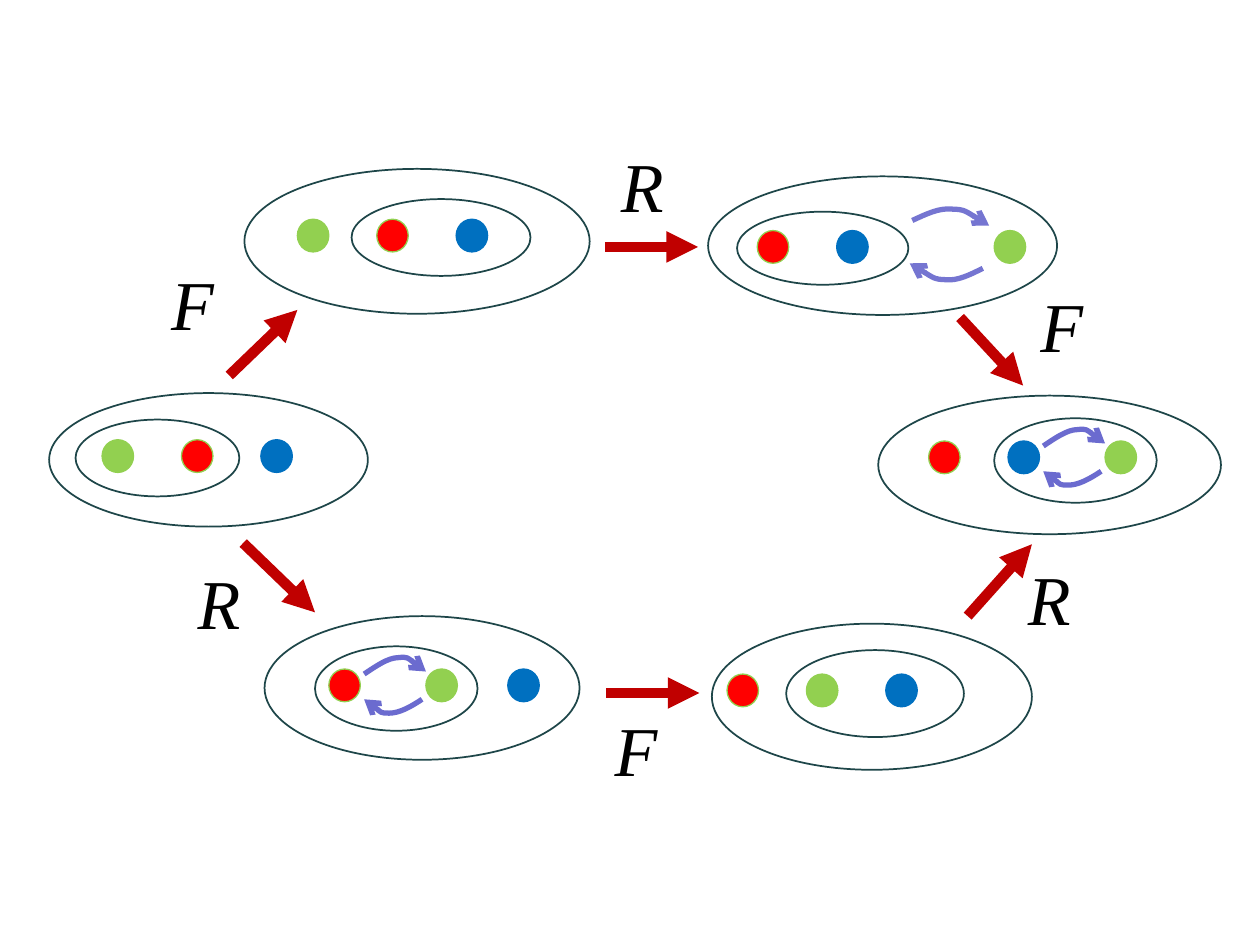
from dataclasses import dataclass

from lxml.etree import SubElement
from pptx import Presentation
from pptx.dml.color import RGBColor
from pptx.enum.shapes import MSO_CONNECTOR, MSO_SHAPE
from pptx.enum.text import MSO_AUTO_SIZE
from pptx.oxml.ns import qn
from pptx.util import Inches, Pt

RED, GREEN, BLUE = "FF0000", "92D050", "0070C0"
DOT_OUTLINE = {RED: GREEN, GREEN: GREEN, BLUE: BLUE}
RING, MOVE, INK = "1E4649", "C00000", "000000"
DOT_WIDTH, DOT_HEIGHT = 0.25, 0.26

Point = tuple[float, float]
Box = tuple[float, float, float, float]


@dataclass
class State:
    outer: Box
    inner: Box
    dot_top: float
    dots: dict[str, float]  # colour -> left edge


@dataclass
class Move:
    start: Point
    end: Point
    label: str
    label_at: Point


@dataclass
class Swap:
    origin: Point
    curves: list[list[Point]]  # start, then control, control, end, relative to origin
    color: str


STATES = [
    State((0.39, 3.12, 2.53, 1.06), (0.6, 3.33, 1.3, 0.61), 3.49,
          {GREEN: 0.81, RED: 1.44, BLUE: 2.07}),
    State((1.94, 1.34, 2.74, 1.15), (2.79, 1.58, 1.42, 0.61), 1.74,
          {GREEN: 2.36, RED: 2.99, BLUE: 3.62}),
    State((5.62, 1.4, 2.77, 1.1), (5.85, 1.68, 1.36, 0.58), 1.83,
          {RED: 6.01, BLUE: 6.64, GREEN: 7.89}),
    State((6.97, 3.14, 2.72, 1.1), (7.89, 3.32, 1.29, 0.67), 3.5,
          {RED: 7.37, BLUE: 8, GREEN: 8.77}),
    State((2.1, 4.89, 2.5, 1.14), (2.5, 5.13, 1.29, 0.67), 5.31,
          {RED: 2.61, GREEN: 3.38, BLUE: 4.03}),
    State((5.65, 4.95, 2.54, 1.16), (6.24, 5.16, 1.41, 0.69), 5.35,
          {RED: 5.77, GREEN: 6.4, BLUE: 7.03}),
]

MOVES = [
    Move((1.82, 2.98), (2.36, 2.46), "F", (1.26, 2.02)),
    Move((4.8, 1.96), (5.54, 1.96), "R", (4.83, 1.08)),
    Move((7.62, 2.52), (8.12, 3.06), "F", (8.16, 2.19)),
    Move((1.93, 4.31), (2.5, 4.86), "R", (1.47, 4.39)),
    Move((4.81, 5.5), (5.55, 5.5), "F", (4.78, 5.56)),
    Move((7.68, 4.89), (8.19, 4.32), "R", (8.06, 4.36)),
]

NEAR_CURVES = [
    [(0, 0), (0.09, -0.06), (0.19, -0.13), (0.27, -0.13),
     (0.35, -0.14), (0.42, -0.08), (0.49, -0.02)],
    [(0.46, 0.2), (0.37, 0.26), (0.28, 0.31), (0.2, 0.31),
     (0.12, 0.31), (0.06, 0.25), (0, 0.2)],
]
FAR_CURVES = [
    [(0, 0), (0.11, -0.05), (0.21, -0.1), (0.31, -0.09),
     (0.42, -0.09), (0.51, -0.02), (0.61, 0.04)],
    [(0.56, 0.38), (0.46, 0.43), (0.36, 0.48), (0.27, 0.47),
     (0.17, 0.47), (0.08, 0.4), (-0.02, 0.34)],
]
SWAPS = [
    Swap((2.89, 5.35), NEAR_CURVES, "6B6BCF"),
    Swap((7.24, 1.75), FAR_CURVES, "7575D1"),
    Swap((8.28, 3.54), NEAR_CURVES, "6B6BCF"),
]


def rgb(color: str) -> RGBColor:
    return RGBColor.from_string(color)


def set_line(shape, color: str, width: float, arrowhead: str = "") -> None:
    shape.line.color.rgb = rgb(color)
    shape.line.width = Pt(width)
    if arrowhead:
        line = shape.line._get_or_add_ln()
        SubElement(line, qn("a:tailEnd"), type=arrowhead)


def add_ellipse(slide, box: Box, line: str, width: float, fill: str = "") -> None:
    shape = slide.shapes.add_shape(MSO_SHAPE.OVAL, *map(Inches, box))
    shape.shadow.inherit = False
    if fill:
        shape.fill.solid()
        shape.fill.fore_color.rgb = rgb(fill)
    else:
        shape.fill.background()
    set_line(shape, line, width)


def add_state(slide, state: State) -> None:
    for box in (state.outer, state.inner):
        add_ellipse(slide, box, RING, 1)
    for color, left in state.dots.items():
        box = (left, state.dot_top, DOT_WIDTH, DOT_HEIGHT)
        add_ellipse(slide, box, DOT_OUTLINE[color], 0.75, color)


def add_move(slide, move: Move) -> None:
    connector = slide.shapes.add_connector(
        MSO_CONNECTOR.STRAIGHT, *map(Inches, move.start + move.end))
    set_line(connector, MOVE, 6, "triangle")
    SubElement(connector._element.spPr, qn("a:effectLst"))

    label = slide.shapes.add_textbox(
        *map(Inches, move.label_at), Inches(0.54), Inches(0.77))
    frame = label.text_frame
    frame.word_wrap = False
    frame.auto_size = MSO_AUTO_SIZE.SHAPE_TO_FIT_TEXT
    run = frame.paragraphs[0].add_run()
    run.text = move.label
    run.font.name = "Times New Roman"
    run.font.size = Pt(40)
    run.font.italic = True
    run.font.color.rgb = rgb(INK)


def add_curve(slide, points: list[Point], color: str) -> None:
    start, *rest = [(Inches(x), Inches(y)) for x, y in points]
    builder = slide.shapes.build_freeform(*start)
    builder.add_line_segments(rest, close=False)
    shape = builder.convert_to_shape()
    shape.shadow.inherit = False
    shape.fill.background()
    set_line(shape, color, 3, "arrow")

    # Each three line segments become one cubic curve
    outline = next(shape._element.iter(qn("a:moveTo"))).getparent()
    segments = outline.findall(qn("a:lnTo"))
    for first in range(0, len(segments), 3):
        curve = SubElement(outline, qn("a:cubicBezTo"))
        for segment in segments[first:first + 3]:
            curve.append(segment[0])
            outline.remove(segment)


def add_swap(slide, swap: Swap) -> None:
    left, top = swap.origin
    for curve in swap.curves:
        add_curve(slide, [(left + x, top + y) for x, y in curve], swap.color)


def main() -> None:
    presentation = Presentation()
    presentation.slide_width = Inches(10)
    presentation.slide_height = Inches(7.5)
    slide = presentation.slides.add_slide(presentation.slide_layouts[6])

    # Nested groupings of the three dots
    for state in STATES:
        add_state(slide, state)
    # Labelled moves between groupings
    for move in MOVES:
        add_move(slide, move)
    # Exchange arrows inside groupings
    for swap in SWAPS:
        add_swap(slide, swap)

    presentation.save("out.pptx")


if __name__ == "__main__":
    main()
